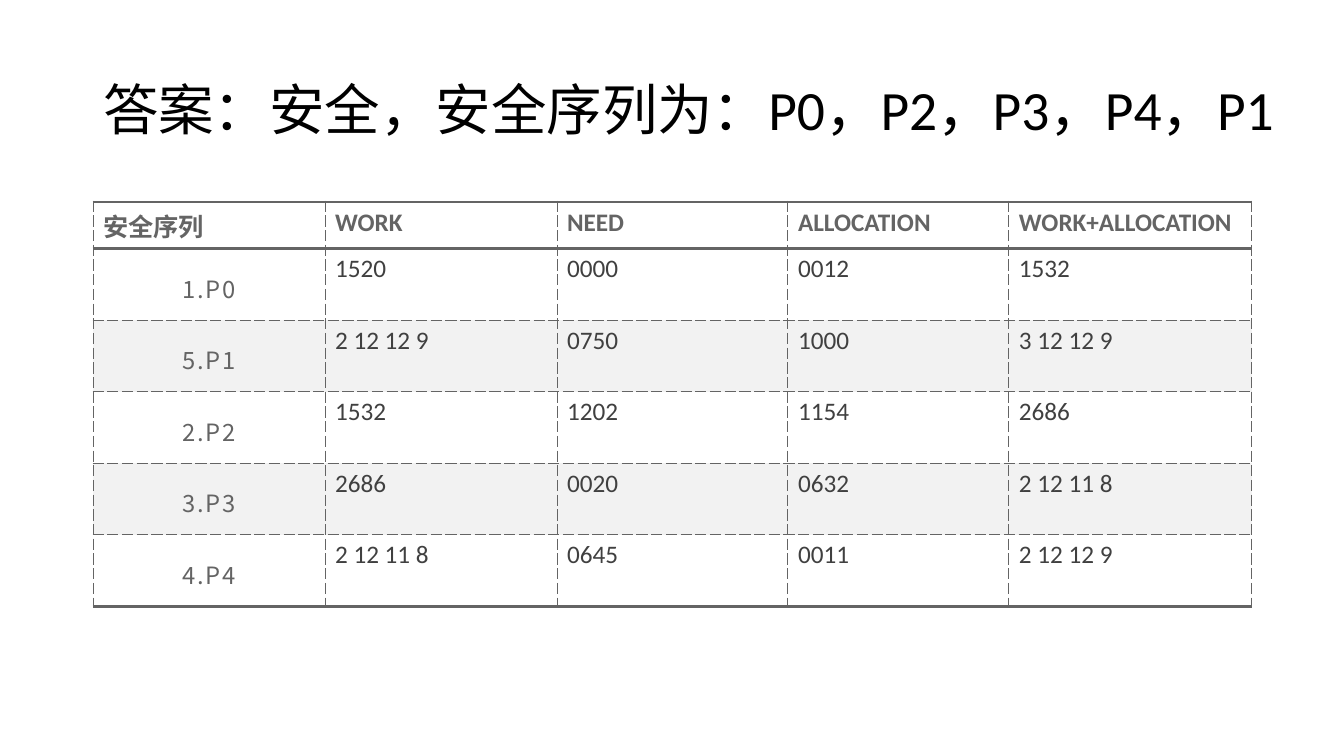
from dataclasses import dataclass

from lxml import etree
from pptx import Presentation
from pptx import util as u
from pptx.dml.color import RGBColor
from pptx.enum import text
from pptx.oxml import ns

TITLE = "答案：安全，安全序列为：P0，P2，P3，P4，P1"
HEADER = ("安全序列", "WORK", "NEED", "ALLOCATION", "WORK+ALLOCATION")
STEPS = [
    ("1.P0", "1520", "0000", "0012", "1532"),
    ("5.P1", "2 12 12 9", "0750", "1000", "3 12 12 9"),
    ("2.P2", "1532", "1202", "1154", "2686"),
    ("3.P3", "2686", "0020", "0632", "2 12 11 8"),
    ("4.P4", "2 12 11 8", "0645", "0011", "2 12 12 9"),
]

# Lengths in pixels
PAGE = (1344, 756)
TITLE_BOX = (93, 40, 1240, 146)
TABLE_LEFT, TABLE_TOP = 93, 202
COLUMNS = (232, 232, 231, 221, 243)
HEADER_HEIGHT, STEP_HEIGHT = 46, 71
STEP_INSETS = (24, 15, 24, 15)


@dataclass(frozen=True)
class Theme:
    """Colours, fonts and type sizes of the slide."""
    black: str = "000000"
    grey: str = "646464"
    dark: str = "404040"
    white: str = "FFFFFF"
    band: str = "F2F2F2"
    latin: str = "Calibri"
    chinese: str = "Noto Sans CJK SC"
    title_size: float = 39.6
    table_size: float = 18
    label_size: float = 17
    thick: float = 2.25
    thin: float = 0.75


THEME = Theme()


def px(pixels):
    """Turn pixels into EMU."""
    return u.Emu(round(pixels * 914400 / 100.8))


def write(frame, words, *, size, color, font=THEME.latin, bold=False,
          align=text.PP_ALIGN.LEFT, line=1.0, tracking=0):
    """Write one formatted paragraph into a text frame."""
    para = frame.paragraphs[0]
    para.alignment, para.line_spacing = align, line
    span = para.add_run()
    span.text = words
    span.font.name, span.font.size = font, u.Pt(size)
    span.font.bold = bold
    span.font.color.rgb = RGBColor.from_string(color)
    props = span.font._element
    props.set("lang", "zh-CN")
    if tracking:
        props.set("spc", str(round(tracking * 100)))
    east = etree.Element(ns.qn("a:ea"), typeface=THEME.chinese)
    props.find(ns.qn("a:latin")).addnext(east)


def set_borders(cell, top, bottom):
    """Draw dashed thin edges, with solid thick ones above or below on request."""
    props = cell._tc.get_or_add_tcPr()
    edges = (("L", False), ("R", False), ("T", top), ("B", bottom))
    for place, (side, heavy) in enumerate(edges):
        width = THEME.thick if heavy else THEME.thin
        edge = etree.Element(ns.qn(f"a:ln{side}"), w=str(u.Pt(width)))
        fill = etree.SubElement(edge, ns.qn("a:solidFill"))
        etree.SubElement(fill, ns.qn("a:srgbClr"), val=THEME.grey)
        etree.SubElement(edge, ns.qn("a:prstDash"), val="solid" if heavy else "sysDash")
        props.insert(place, edge)


def add_title(page):
    """Place and write the title."""
    box = page.shapes.title
    box.left, box.top, box.width, box.height = map(px, TITLE_BOX)
    frame = box.text_frame
    frame.word_wrap = True
    frame.auto_size = text.MSO_AUTO_SIZE.NONE
    frame.vertical_anchor = text.MSO_ANCHOR.MIDDLE
    write(frame, TITLE, size=THEME.title_size, color=THEME.black, line=0.9)


def fill_cell(cell, words, row, column):
    """Write and format one cell according to its row and column."""
    set_borders(cell, top=row <= 1, bottom=row in (0, len(STEPS)))
    cell.fill.solid()
    banded = row > 0 and row % 2 == 0
    cell.fill.fore_color.rgb = RGBColor.from_string(THEME.band if banded else THEME.white)
    if row == 0:
        write(cell.text_frame, words, size=THEME.table_size, color=THEME.grey, bold=True)
    elif column == 0:
        cell.vertical_anchor = text.MSO_ANCHOR.MIDDLE
        (cell.margin_left, cell.margin_top,
         cell.margin_right, cell.margin_bottom) = map(px, STEP_INSETS)
        write(cell.text_frame, words, size=THEME.label_size, color=THEME.grey,
              font=THEME.chinese, align=text.PP_ALIGN.CENTER, line=1.2, tracking=1.3)
    else:
        write(cell.text_frame, words, size=THEME.table_size, color=THEME.dark)


def add_sequence_table(page):
    """Build the table of the safe sequence."""
    rows = [HEADER, *STEPS]
    heights = [HEADER_HEIGHT] + [STEP_HEIGHT] * len(STEPS)
    table = page.shapes.add_table(
        len(rows), len(COLUMNS), px(TABLE_LEFT), px(TABLE_TOP),
        px(sum(COLUMNS)), px(sum(heights))).table
    table.horz_banding = False
    for column, width in zip(table.columns, COLUMNS):
        column.width = px(width)
    for r, (values, height) in enumerate(zip(rows, heights)):
        table.rows[r].height = px(height)
        for c, words in enumerate(values):
            fill_cell(table.cell(r, c), words, r, c)


deck = Presentation()
deck.slide_width, deck.slide_height = map(px, PAGE)
page = deck.slides.add_slide(deck.slide_layouts[5])
add_title(page)
add_sequence_table(page)
deck.save("out.pptx")
